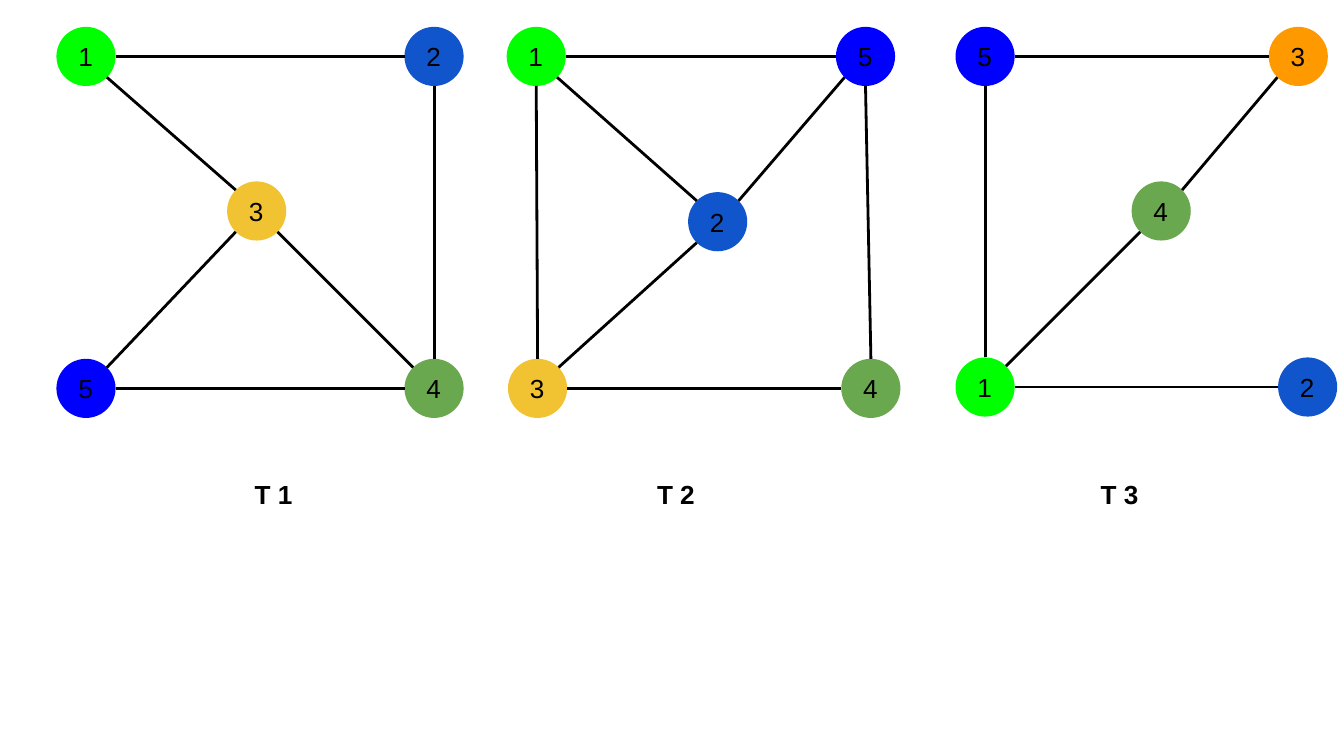
import math
from dataclasses import dataclass, field

from pptx import Presentation
from pptx import util as u
from pptx.dml.color import RGBColor
from pptx.enum import shapes, text
from pptx.oxml.ns import qn
from lxml import etree


@dataclass
class Theme:
    font: str = "Arial"
    size: int = 14
    line_width: float = 1.5
    diameter: float = 0.44
    ink: str = "000000"
    nodes: dict = field(default_factory=lambda: {
        1: "00FF00", 2: "1155CC", 3: "F1C232", 4: "6AA84F", 5: "0000FF"})
    accent: str = "FF9900"


THEME = Theme()
LEFT, CENTER = text.PP_ALIGN.LEFT, text.PP_ALIGN.CENTER

GRAPHS = [
    dict(label="T 1", label_left=1.48, align=CENTER, colors={},
         nodes={1: (0.42, 0.2), 2: (3.01, 0.2), 3: (1.69, 1.35),
                4: (3.01, 2.67), 5: (0.42, 2.67)},
         edges=[(1, 2), (1, 3), (2, 4), (3, 4), (3, 5), (5, 4)]),
    dict(label="T 2", label_left=4.79, align=LEFT, colors={},
         nodes={1: (3.77, 0.2), 2: (5.12, 1.43), 3: (3.78, 2.67),
                4: (6.26, 2.67), 5: (6.22, 0.2)},
         edges=[(1, 5), (1, 2), (1, 3), (2, 5), (2, 3), (3, 4), (5, 4)]),
    dict(label="T 3", label_left=8.09, align=LEFT, colors={3: THEME.accent},
         nodes={1: (7.11, 2.66), 2: (9.51, 2.66), 3: (9.44, 0.2),
                4: (8.42, 1.35), 5: (7.11, 0.2)},
         edges=[(5, 3), (5, 1), (3, 4), (4, 1), (1, 2)]),
]


def write(sp, words, align, bold=False):
    tf = sp.text_frame
    tf.word_wrap = True
    tf.vertical_anchor = text.MSO_ANCHOR.MIDDLE
    tf.margin_left = tf.margin_right = u.Inches(0.1)
    tf.margin_top = tf.margin_bottom = u.Inches(0.1)
    p = tf.paragraphs[0]
    p.text = words
    p.alignment = align
    p.font.name = THEME.font
    p.font.size = u.Pt(THEME.size)
    p.font.bold = bold
    p.font.color.rgb = RGBColor.from_string(THEME.ink)


def add_node(s, number, at, color):
    d = u.Inches(THEME.diameter)
    sp = s.shapes.add_shape(shapes.MSO_SHAPE.OVAL,
                            u.Inches(at[0]), u.Inches(at[1]), d, d)
    sp.shadow.inherit = False
    sp.fill.solid()
    sp.fill.fore_color.rgb = RGBColor.from_string(color)
    sp.line.fill.background()
    write(sp, str(number), LEFT)


def rim_point(at, toward):
    step = math.pi / 4
    angle = math.atan2(toward[1] - at[1], toward[0] - at[0])
    angle = round(angle / step) * step
    r = THEME.diameter / 2
    return (u.Inches(at[0] + r + r * math.cos(angle)),
            u.Inches(at[1] + r + r * math.sin(angle)))


def add_edge(s, start, end):
    line = s.shapes.add_connector(shapes.MSO_CONNECTOR.STRAIGHT,
                                  *rim_point(start, end), *rim_point(end, start))
    line.line.width = u.Pt(THEME.line_width)
    line.line.color.rgb = RGBColor.from_string(THEME.ink)
    etree.SubElement(line._element.spPr, qn("a:effectLst"))


def add_label(s, words, left, align):
    sp = s.shapes.add_textbox(u.Inches(left), u.Inches(3.4),
                              u.Inches(1.11), u.Inches(0.55))
    write(sp, words, align, bold=True)


def add_graph(s, label, label_left, align, colors, nodes, edges):
    palette = {**THEME.nodes, **colors}
    for number, at in nodes.items():
        add_node(s, number, at, palette[number])
    for a, b in edges:
        add_edge(s, nodes[a], nodes[b])
    add_label(s, label, label_left, align)


def main():
    prs = Presentation()
    prs.slide_width = u.Inches(10)
    prs.slide_height = prs.slide_width * 9 // 16
    s = prs.slides.add_slide(prs.slide_layouts[6])
    for graph in GRAPHS:
        add_graph(s, **graph)
    prs.save("out.pptx")


main()
